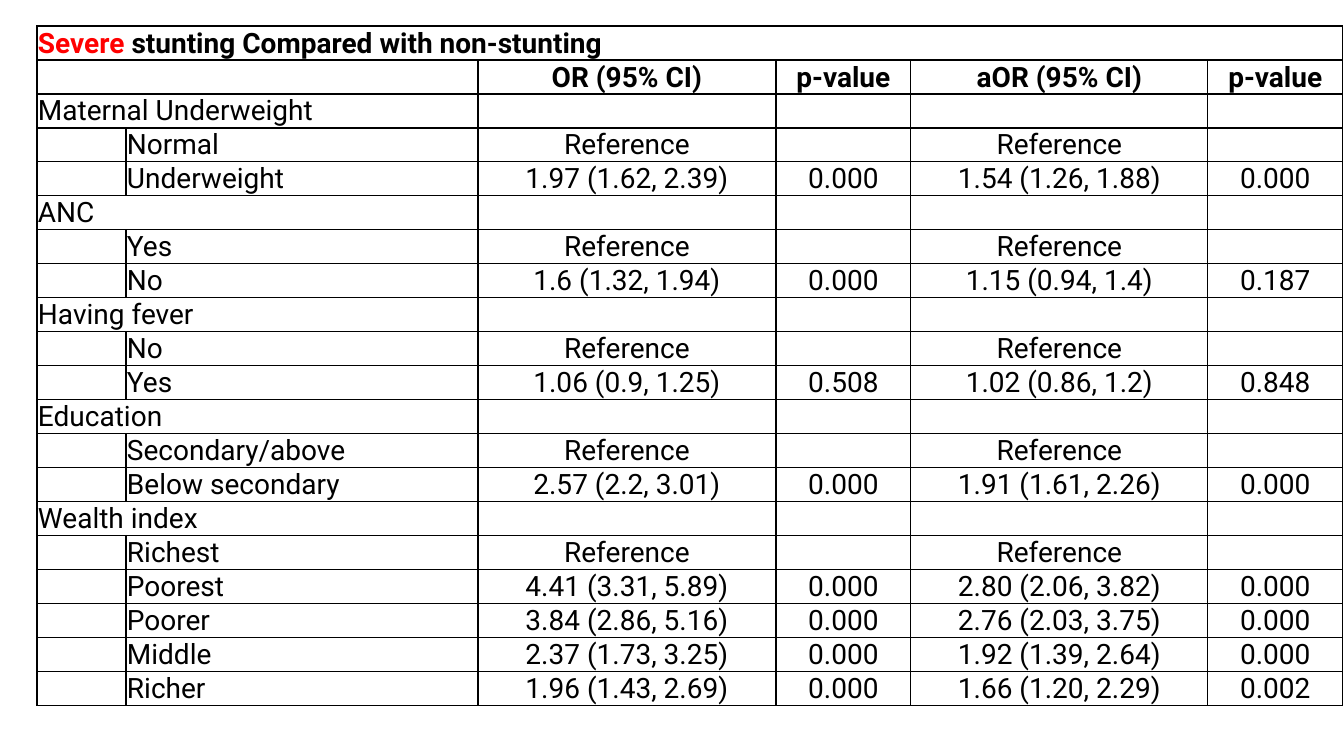
"""Build a slide with a table of odds ratios for severe stunting."""
from lxml.etree import fromstring
from pptx import Presentation
from pptx.dml.color import RGBColor
from pptx.enum.text import MSO_ANCHOR, PP_ALIGN
from pptx.util import Pt

PX = 914400 / 100.8
NS = "http://schemas.openxmlformats.org/drawingml/2006/main"
LEFT, TOP, HIGH = 37, 26, 34
WIDTHS = [89, 352, 298, 135, 297, 135]
BASE = ("Reference", "", "Reference", "")
HEADS = ["OR (95% CI)", "p-value", "aOR (95% CI)", "p-value"]
GROUPS = {
    "Maternal Underweight": [
        ("Normal", *BASE),
        ("Underweight", "1.97 (1.62, 2.39)", "0.000", "1.54 (1.26, 1.88)", "0.000"),
    ],
    "ANC": [
        ("Yes", *BASE),
        ("No", "1.6 (1.32, 1.94)", "0.000", "1.15 (0.94, 1.4)", "0.187"),
    ],
    "Having fever": [
        ("No", *BASE),
        ("Yes", "1.06 (0.9, 1.25)", "0.508", "1.02 (0.86, 1.2)", "0.848"),
    ],
    "Education": [
        ("Secondary/above", *BASE),
        ("Below secondary", "2.57 (2.2, 3.01)", "0.000", "1.91 (1.61, 2.26)", "0.000"),
    ],
    "Wealth index": [
        ("Richest", *BASE),
        ("Poorest", "4.41 (3.31, 5.89)", "0.000", "2.80 (2.06, 3.82)", "0.000"),
        ("Poorer", "3.84 (2.86, 5.16)", "0.000", "2.76 (2.03, 3.75)", "0.000"),
        ("Middle", "2.37 (1.73, 3.25)", "0.000", "1.92 (1.39, 2.64)", "0.000"),
        ("Richer", "1.96 (1.43, 2.69)", "0.000", "1.66 (1.20, 2.29)", "0.002"),
    ],
}


def px(size):
    return round(size * PX)


def write(cell, text, bold=False, color="000000"):
    run = cell.text_frame.paragraphs[0].add_run()
    run.text = text
    run.font.name = "Roboto"
    run.font.size = Pt(20)
    run.font.bold = bold
    run.font.color.rgb = RGBColor.from_string(color)


rows = [[""] * 6, ["", ""] + HEADS]
spans = {0: 5, 1: 1}
for group, items in GROUPS.items():
    spans[len(rows)] = 1
    rows.append([group] + [""] * 5)
    rows += [["", *item] for item in items]

deck = Presentation()
deck.slide_width, deck.slide_height = px(1344), px(756)
slide = deck.slides.add_slide(deck.slide_layouts[6])
frame = slide.shapes.add_table(
    len(rows), len(WIDTHS), px(LEFT), px(TOP), px(sum(WIDTHS)), px(HIGH * len(rows))
)
table = frame.table
table.first_row = table.horz_banding = False
for col, width in zip(table.columns, WIDTHS):
    col.width = px(width)

for r, row in enumerate(rows):
    table.rows[r].height = px(HIGH)
    for c, text in enumerate(row):
        cell = table.cell(r, c)
        cell.vertical_anchor = MSO_ANCHOR.BOTTOM
        cell.margin_left = cell.margin_right = cell.margin_top = px(1)
        cell.margin_bottom = 0
        cell.fill.background()
        for i, side in enumerate("LRTB"):
            line = fromstring(
                f'<a:ln{side} xmlns:a="{NS}" w="12700"><a:solidFill>'
                f'<a:srgbClr val="000000"/></a:solidFill></a:ln{side}>'
            )
            cell._tc.tcPr.insert(i, line)
        if c > 1:
            cell.text_frame.paragraphs[0].alignment = PP_ALIGN.CENTER
        if text:
            write(cell, text, r == 1)

for r, last in spans.items():
    table.cell(r, 0).merge(table.cell(r, last))
write(table.cell(0, 0), "Severe", True, "FF0000")
write(table.cell(0, 0), " stunting Compared with non-stunting", True)

deck.save("out.pptx")
